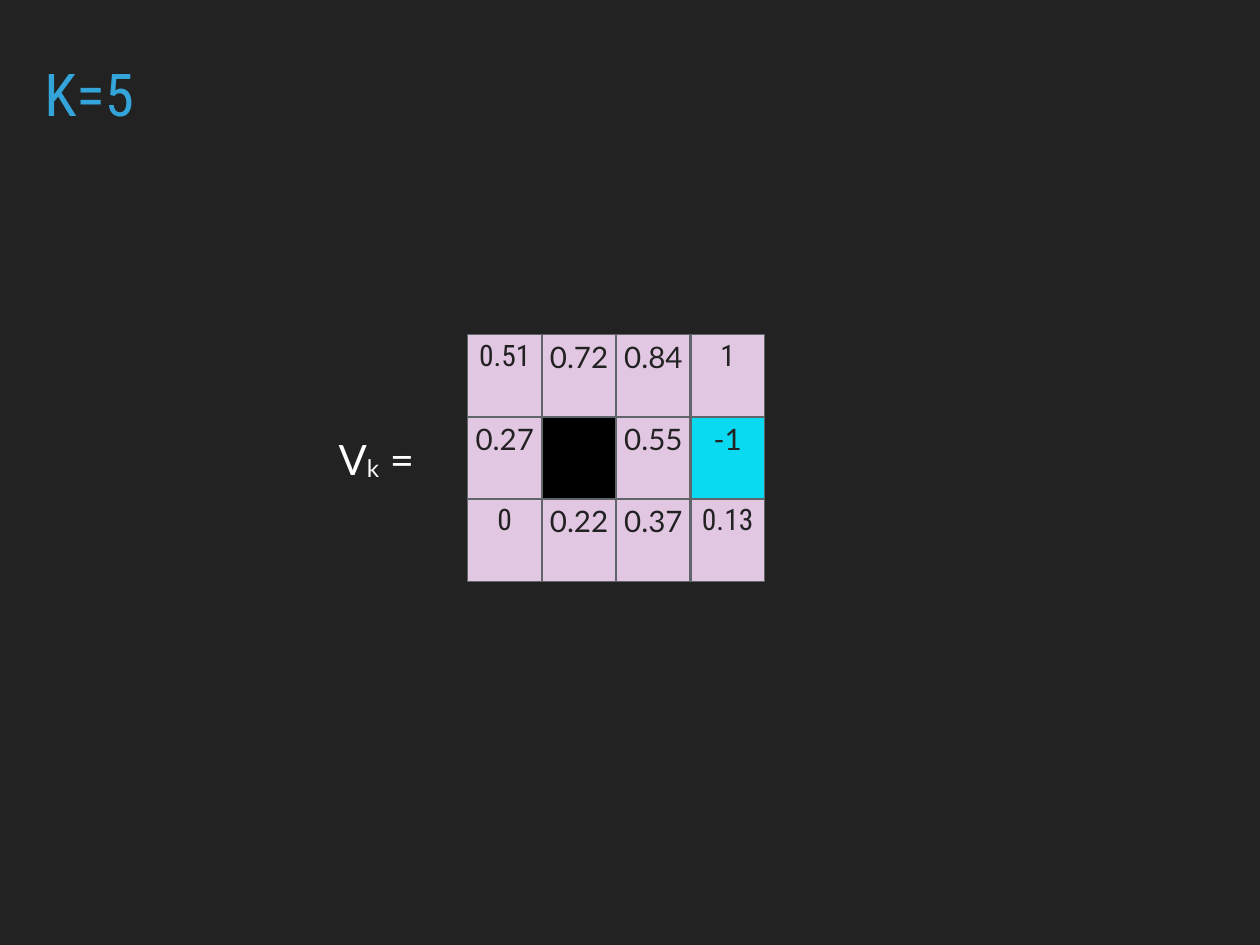
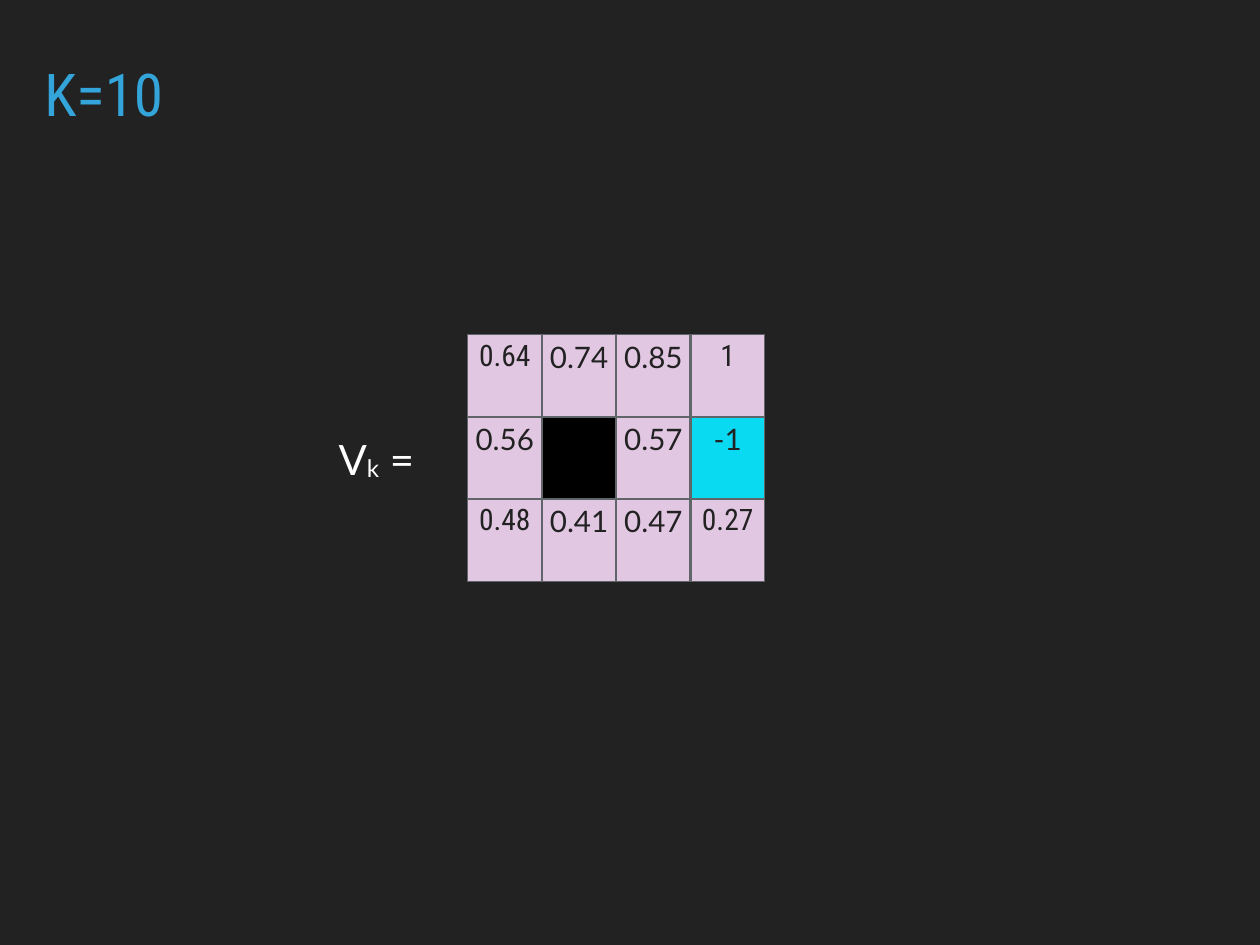
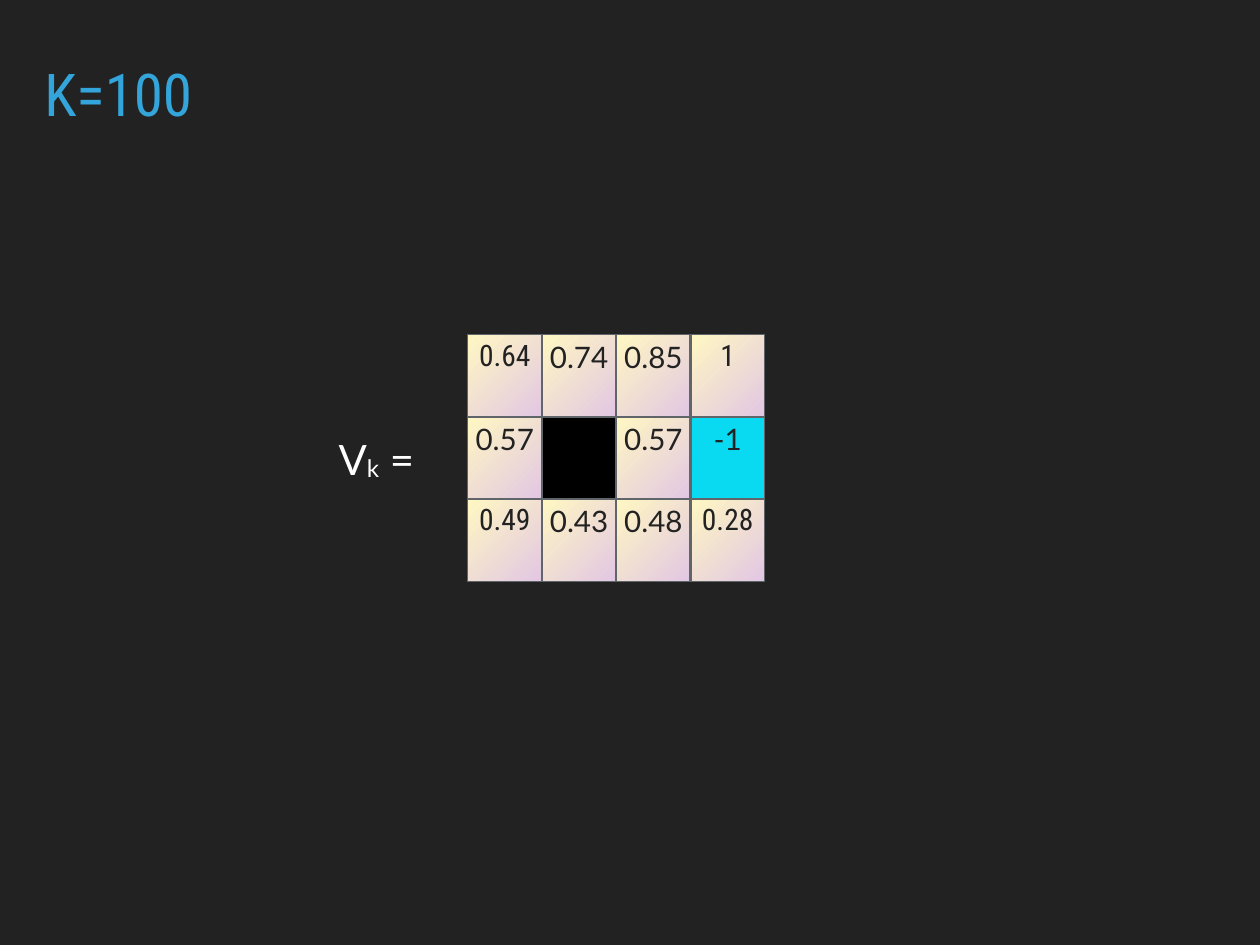
"""Build three slides that show grid values after 5, 10 and 100 rounds."""
from lxml.etree import SubElement
from pptx import Presentation
from pptx.dml.color import RGBColor as RGB
from pptx.enum.text import MSO_ANCHOR as Anchor, MSO_AUTO_SIZE as Fit, PP_ALIGN as Align
from pptx.oxml import parse_xml
from pptx.oxml.ns import nsdecls, qn
from pptx.util import Pt

PX = 5080
DARK = RGB(0x22, 0x22, 0x22)
BLUE = RGB(0x34, 0xA5, 0xDA)
WHITE = RGB(0xFF, 0xFF, 0xFF)
BLACK = RGB(0x00, 0x00, 0x00)
PINK = RGB(0xE2, 0xC7, 0xE3)
CREAM = RGB(0xFF, 0xF7, 0xC3)
CYAN = RGB(0x09, 0xDA, 0xF2)
GREY = RGB(0x5F, 0x65, 0x68)
HEAD, BODY = "Roboto Condensed", "Lato"
COL, ROW, PAD = 151, 167, 11
THIN, THICK = Pt(0.96), Pt(1.98)

SLIDES = [
    ("K=5", False, [["0.51", "0.72", "0.84", "1"],
                    ["0.27", "", "0.55", "-1"],
                    ["0", "0.22", "0.37", "0.13"]]),
    ("K=10", False, [["0.64", "0.74", "0.85", "1"],
                     ["0.56", "", "0.57", "-1"],
                     ["0.48", "0.41", "0.47", "0.27"]]),
    ("K=100", True, [["0.64", "0.74", "0.85", "1"],
                     ["0.57", "", "0.57", "-1"],
                     ["0.49", "0.43", "0.48", "0.28"]]),
]


def add_run(para, text, face, size, color):
    run = para.add_run()
    run.text = text
    run.font.name, run.font.size = face, Pt(size)
    run.font.color.rgb = color
    return run


def set_frame(frame, anchor):
    frame.word_wrap, frame.auto_size = True, Fit.NONE
    frame.vertical_anchor = anchor
    frame.margin_left = frame.margin_right = PAD * PX
    frame.margin_top = frame.margin_bottom = PAD * PX
    return frame.paragraphs[0]


prs = Presentation()
prs.slide_width, prs.slide_height = 2560 * PX, 1920 * PX
back = prs.slide_master.background.fill
back.solid()
back.fore_color.rgb = DARK
layout = prs.slide_layouts.get_by_name("Title Only")

for name, shade, grid in SLIDES:
    slide = prs.slides.add_slide(layout)
    rows, cols = len(grid), len(grid[0])
    table = slide.shapes.add_table(rows, cols, 950 * PX, 680 * PX,
                                   cols * COL * PX, rows * ROW * PX).table
    table.first_row = table.horz_banding = False
    for col in table.columns:
        col.width = COL * PX
    for r, line in enumerate(grid):
        table.rows[r].height = ROW * PX
        for c, value in enumerate(line):
            cell = table.cell(r, c)
            cell.margin_left = cell.margin_right = PAD * PX
            cell.margin_top = cell.margin_bottom = 9 * PX
            props = cell._tc.get_or_add_tcPr()
            edges = {"L": c == 0, "R": c == cols - 1, "T": r == 0, "B": r == rows - 1}
            for side, outer in edges.items():
                edge = SubElement(props, qn("a:ln" + side), w=str(THIN if outer else THICK))
                paint = SubElement(edge, qn("a:solidFill"))
                SubElement(paint, qn("a:srgbClr"), val=str(GREY))
            fill = {"": BLACK, "-1": CYAN}.get(value, PINK)
            if shade and fill == PINK:
                props.append(parse_xml(
                    f'<a:gradFill {nsdecls("a")}><a:gsLst>'
                    f'<a:gs pos="0"><a:srgbClr val="{CREAM}"/></a:gs>'
                    f'<a:gs pos="100000"><a:srgbClr val="{PINK}"/></a:gs>'
                    '</a:gsLst><a:path path="circle"/></a:gradFill>'))
            else:
                cell.fill.solid()
                cell.fill.fore_color.rgb = fill
            if value:
                corner = r in (0, rows - 1) and c in (0, cols - 1)
                para = cell.text_frame.paragraphs[0]
                para.alignment = Align.CENTER
                add_run(para, value, HEAD if corner else BODY, 24, DARK)

    title = slide.shapes.title
    title.left, title.top = 79 * PX, 133 * PX
    title.width, title.height = 2400 * PX, 142 * PX
    para = set_frame(title.text_frame, Anchor.TOP)
    para.alignment, para.line_spacing = Align.LEFT, 0.8
    add_run(para, name, HEAD, 48, BLUE)

    label = slide.shapes.add_textbox(677 * PX, 871 * PX, 232 * PX, 122 * PX)
    para = set_frame(label.text_frame, Anchor.MIDDLE)
    add_run(para, "V", BODY, 34, WHITE)
    sub = add_run(para, "k", BODY, 34, WHITE)
    sub._r.get_or_add_rPr().set("baseline", "-5000")
    add_run(para, " =", BODY, 34, WHITE)

prs.save("out.pptx")
